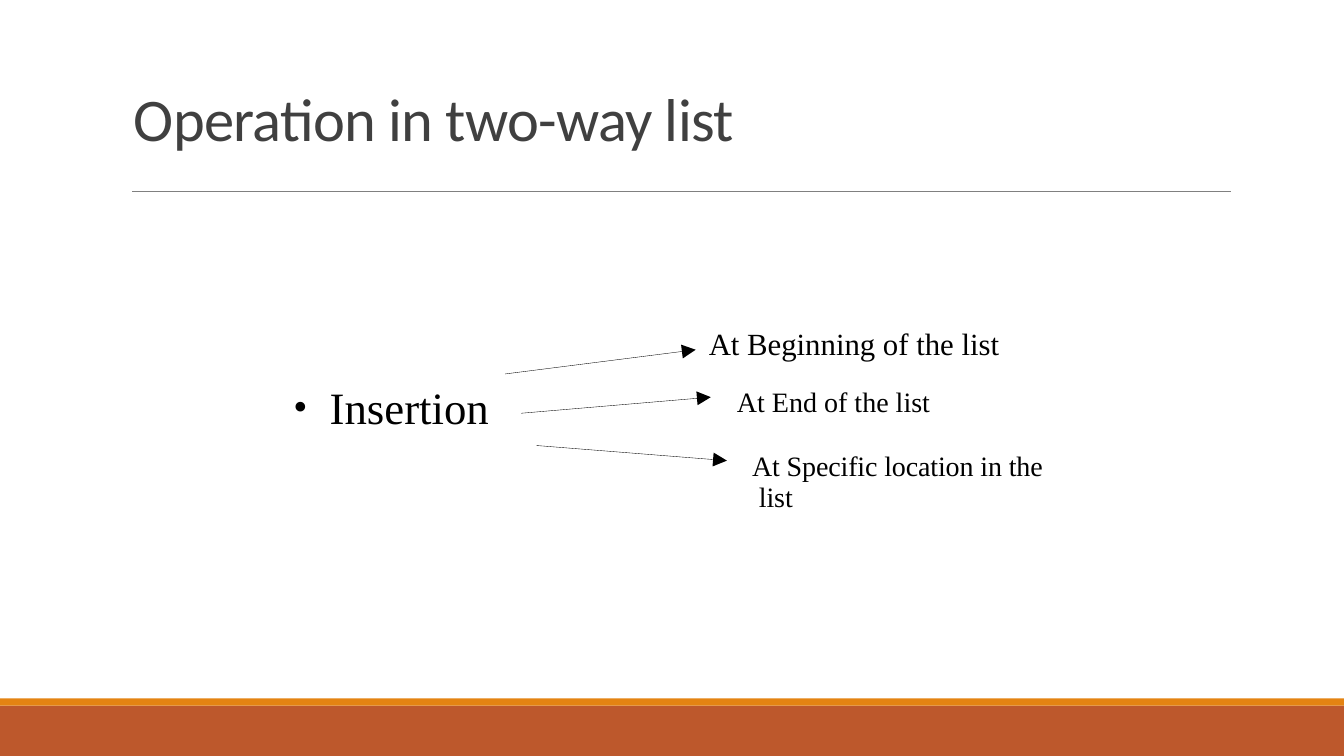
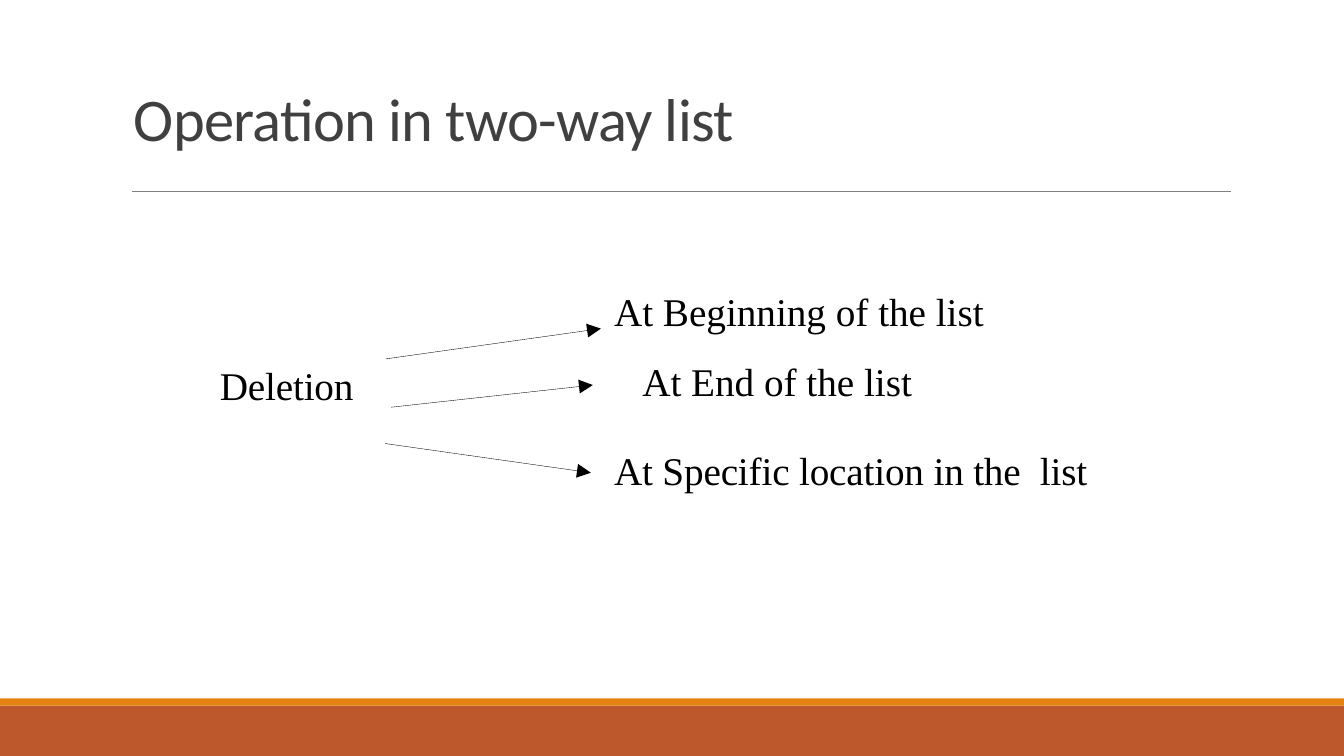
from dataclasses import dataclass
from typing import Optional

from lxml.etree import SubElement
from pptx import Presentation
from pptx.dml.color import RGBColor
from pptx.enum.shapes import MSO_CONNECTOR as CONNECTOR, MSO_SHAPE as SHAPE
from pptx.enum.text import MSO_ANCHOR as ANCHOR
from pptx.oxml.ns import qn
from pptx.util import Inches, Pt

RUST = RGBColor(0xBD, 0x58, 0x2C)
ORANGE = RGBColor(0xE4, 0x83, 0x12)
RULE_GRAY = RGBColor(0x80, 0x80, 0x80)
TITLE_GRAY = RGBColor(0x40, 0x40, 0x40)
BLACK = RGBColor(0, 0, 0)

TITLE = "Operation in two-way list"
TITLE_FONT = "Calibri"
BODY_FONT = "Times New Roman"
AT_BEGINNING = "At Beginning of the list"
AT_END = "At End of the list"
AT_LOCATION = "At Specific location in the  list"
SLIDE_W, SLIDE_H = 13.33, 7.5


@dataclass(frozen=True)
class Para:
    text: str
    size: float
    before: float = 0
    line_spacing: Optional[float] = None  # points
    left: float = 0
    hanging: float = 0
    tracking: float = 0
    bullet: str = ""


@dataclass(frozen=True)
class Block:
    left: float
    top: float
    width: float
    height: float
    paras: tuple[Para, ...]


@dataclass(frozen=True)
class Arrow:
    x1: float
    y1: float
    x2: float
    y2: float


@dataclass(frozen=True)
class Topic:
    blocks: tuple[Block, ...]
    arrows: tuple[Arrow, ...]


INSERTION = Topic(
    blocks=(
        Block(2.91, 3.77, 1.96, 0.56, (
            Para("Insertion", 32, left=0.36, hanging=0.36, bullet="•"),
        )),
        Block(7.03, 3.22, 3.37, 1.89, (
            Para(AT_BEGINNING, 22),
            Para(AT_END, 20, before=16.1, left=0.28),
            Para(AT_LOCATION, 20, before=23.7, line_spacing=22.2, left=0.43,
                 tracking=-0.1),
        )),
    ),
    arrows=(
        Arrow(5.01, 3.71, 6.9, 3.47),
        Arrow(5.17, 4.1, 7.05, 3.94),
        Arrow(5.32, 4.42, 7.21, 4.57),
    ),
)

DELETION = Topic(
    blocks=(
        Block(2.18, 3.58, 1.81, 0.49, (Para("Deletion", 28, tracking=-0.1),)),
        Block(6.09, 2.85, 4.41, 1.18, (
            Para(AT_BEGINNING, 28),
            Para(AT_END, 28, before=16.1, left=0.28),
        )),
        Block(6.09, 4.59, 4.89, 0.37, (
            Para(AT_LOCATION, 28, line_spacing=22.2, tracking=-0.1),
        )),
    ),
    arrows=(
        Arrow(3.83, 3.56, 5.96, 3.26),
        Arrow(3.88, 4.04, 5.88, 3.82),
        Arrow(3.82, 4.4, 5.86, 4.69),
    ),
)


def add_band(s, top: float, height: float, color: RGBColor) -> None:
    sp = s.shapes.add_shape(SHAPE.RECTANGLE, 0, Inches(top),
                            Inches(SLIDE_W), Inches(height))
    sp.shadow.inherit = False
    sp.fill.solid()
    sp.fill.fore_color.rgb = color
    sp.line.fill.background()


def add_line(s, x1: float, y1: float, x2: float, y2: float,
             color: RGBColor, width: float):
    line = s.shapes.add_connector(CONNECTOR.STRAIGHT, Inches(x1), Inches(y1),
                                  Inches(x2), Inches(y2))
    line.line.color.rgb = color
    line.line.width = Pt(width)
    SubElement(line._element.spPr, qn("a:effectLst"))
    return line


def add_arrow(s, arrow: Arrow) -> None:
    line = add_line(s, arrow.x1, arrow.y1, arrow.x2, arrow.y2, BLACK, 0.25)
    SubElement(line.line._get_or_add_ln(), qn("a:tailEnd"),
               type="triangle", w="lg", len="lg")


def add_run(p, text: str, font: str, size: float, color: RGBColor,
            tracking: float = 0) -> None:
    r = p.add_run()
    r.text = text
    for name, value in {"name": font, "size": Pt(size)}.items():
        setattr(r.font, name, value)
    r.font.color.rgb = color
    if tracking:
        r._r.get_or_add_rPr().set("spc", str(round(tracking * 100)))


def add_title(s, text: str) -> None:
    tf = s.shapes.add_textbox(Inches(1.23), Inches(0.8),
                              Inches(9), Inches(0.78)).text_frame
    tf.word_wrap = True
    tf.vertical_anchor = ANCHOR.BOTTOM
    p = tf.paragraphs[0]
    p.line_spacing = 0.85
    add_run(p, text, TITLE_FONT, 43.2, TITLE_GRAY, tracking=-0.5)


def format_paragraph(p, para: Para) -> None:
    """Set spacing, indents and bullet."""
    p.space_before = Pt(para.before)
    if para.line_spacing:
        p.line_spacing = Pt(para.line_spacing)
    pPr = p._p.get_or_add_pPr()
    pPr.set("marL", str(Inches(para.left)))
    pPr.set("indent", str(-Inches(para.hanging)))
    if para.bullet:
        SubElement(pPr, qn("a:buSzPct"), val="90000")
        SubElement(pPr, qn("a:buFont"), typeface=BODY_FONT)
        SubElement(pPr, qn("a:buChar"), char=para.bullet)


def add_block(s, block: Block) -> None:
    tf = s.shapes.add_textbox(Inches(block.left), Inches(block.top),
                              Inches(block.width), Inches(block.height)).text_frame
    tf.word_wrap = True
    for side in ("left", "top", "right", "bottom"):
        setattr(tf, f"margin_{side}", 0)
    for i, para in enumerate(block.paras):
        p = tf.add_paragraph() if i else tf.paragraphs[0]
        format_paragraph(p, para)
        add_run(p, para.text, BODY_FONT, para.size, BLACK, para.tracking)


def add_topic_slide(prs, topic: Topic) -> None:
    s = prs.slides.add_slide(prs.slide_layouts[6])
    add_band(s, 7, 0.5, RUST)
    add_band(s, 6.93, 0.07, ORANGE)
    add_line(s, 1.31, 1.9, 12.21, 1.9, RULE_GRAY, 0.5)
    add_title(s, TITLE)
    for arrow in topic.arrows:
        add_arrow(s, arrow)
    for block in topic.blocks:
        add_block(s, block)


def main() -> None:
    prs = Presentation()
    prs.slide_width = Inches(SLIDE_W)
    prs.slide_height = Inches(SLIDE_H)
    for topic in (INSERTION, DELETION):
        add_topic_slide(prs, topic)
    prs.save("out.pptx")


if __name__ == "__main__":
    main()
